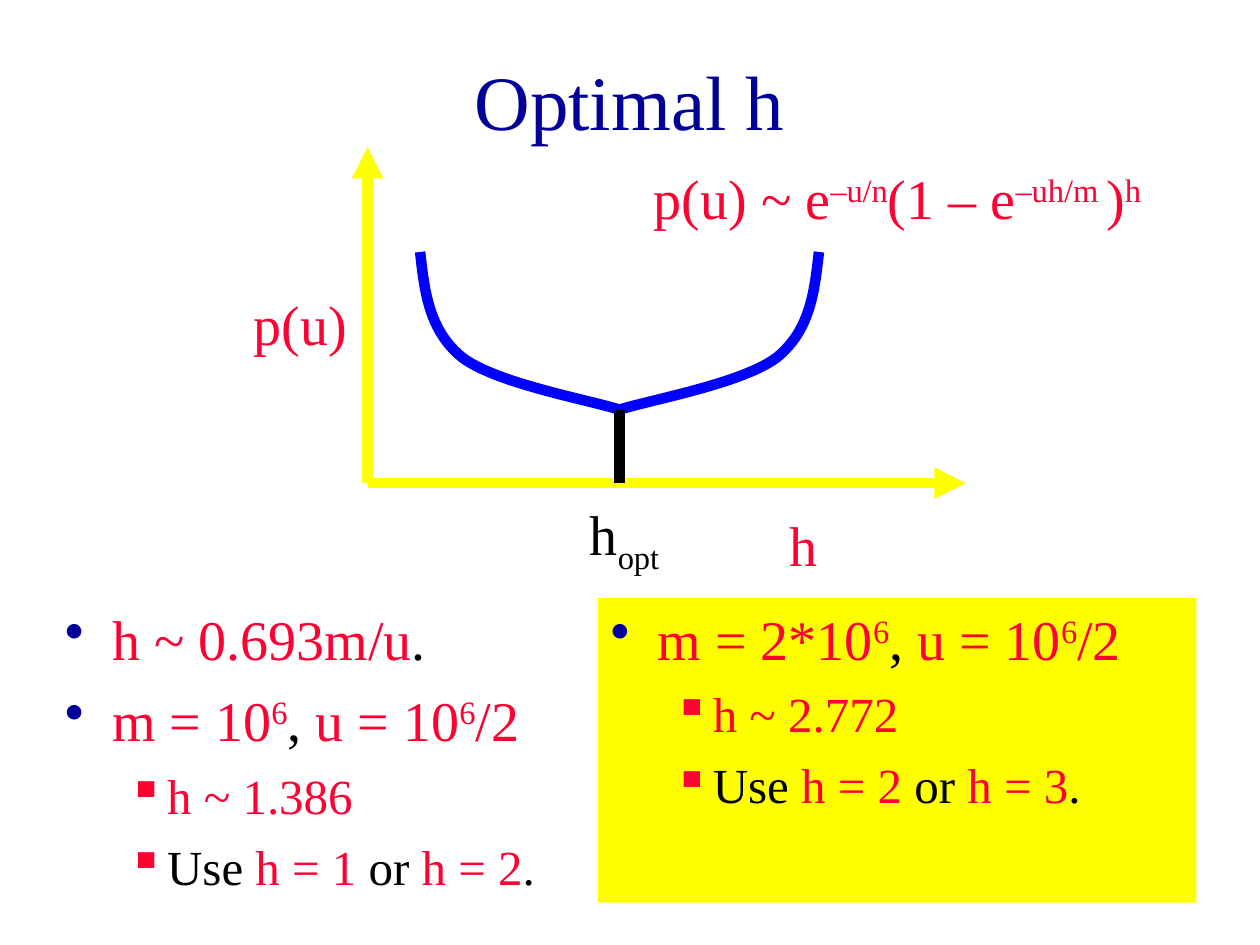
from lxml import etree
from pptx import Presentation
from pptx.dml.color import RGBColor
from pptx.enum.shapes import MSO_CONNECTOR, MSO_SHAPE
from pptx.enum.text import MSO_ANCHOR, MSO_AUTO_SIZE, PP_ALIGN
from pptx.oxml.ns import qn
from pptx.util import Cm, Pt

STRAIGHT, RECT = MSO_CONNECTOR.STRAIGHT, MSO_SHAPE.RECTANGLE
TOP, MIDDLE = MSO_ANCHOR.TOP, MSO_ANCHOR.MIDDLE
LEFT, CENTER = PP_ALIGN.LEFT, PP_ALIGN.CENTER
GROW = MSO_AUTO_SIZE.SHAPE_TO_FIT_TEXT

FONT = "Times New Roman"
COLORS = {"navy": "000099", "red": "FF0033", "black": "000000",
          "yellow": "FFFF00", "blue": "0000FF", "white": "FFFFFF"}
SUP, SUB = 30, -25

# Content: a run is (text, colour, baseline shift in percent)
TITLE = [("Optimal h", "navy", 0)]


def sizes(m):
    """Runs for 'm = ..., u = 10^6/2'."""
    return [(f"m = {m}", "red", 0), ("6", "red", SUP), (", ", "black", 0),
            ("u = 10", "red", 0), ("6", "red", SUP), ("/2", "red", 0)]


def choice(low, high):
    """Runs for 'Use h = low or h = high.'"""
    return [("Use", "black", 0), (f" h = {low} ", "red", 0), ("or", "black", 0),
            (f" h = {high}", "red", 0), (".", "black", 0)]


# Panels: box in cm, fill, paragraphs as (level, runs)
PANELS = [
    ((1.06, 12.06, 10.8, 6.98), "white", [
        (0, [("h ~ 0.693m/u", "red", 0), (".", "black", 0)]),
        (0, sizes("10")),
        (1, [("h ~ 1.386", "red", 0)]),
        (1, choice(1, 2))]),
    ((12.06, 12.06, 12.06, 6.14), "yellow", [
        (0, sizes("2*10")),
        (1, [("h ~ 2.772", "red", 0)]),
        (1, choice(2, 3))]),
]
# Level: size, space before, left margin (cm), hanging indent (cm), bullet, its colour
LEVELS = [(32, 8, 0.95, 0.95, "•", "navy"), (28, 7, 2.06, 0.79, "▪", "red")]

# Graph labels: box in cm, wrap, runs
LABELS = [
    ((15.66, 10.16, 2.12, 1.63), True, [("h", "red", 0)]),
    ((4.87, 5.71, 2.75, 1.63), True, [("p(u)", "red", 0)]),
    ((11.64, 9.95, 2.12, 1.8), True, [("h", "black", 0), ("opt", "black", SUB)]),
    ((12.93, 3.17, 10.34, 1.63), False, [
        ("p(u) ~ e", "red", 0), ("–u/n", "red", SUP), ("(1 – e", "red", 0),
        ("–uh/m ", "red", SUP), (")", "red", 0), ("h", "red", SUP)]),
]

# Graph geometry in cm
ORIGIN, AXIS_TOP, AXIS_RIGHT = (7.41, 9.74), 2.96, 19.47
OPTIMUM = (12.49, 8.26)
LEFT_BRANCH = [  # two cubic Bezier pieces
    [(8.47, 5.08), (8.56, 5.87), (8.64, 6.65), (9.31, 7.2)],
    [(9.31, 7.2), (9.99, 7.73), (11.91, 8.07), OPTIMUM],
]
STEPS = 24


def rgb(name):
    return RGBColor.from_string(COLORS[name])


def add_runs(p, runs, size):
    for text, color, shift in runs:
        r = p.add_run()
        r.text = text
        r.font.size, r.font.name = Pt(size), FONT
        r.font.color.rgb = rgb(color)
        if shift:
            r.font._element.set("baseline", str(shift * 1000))


def add_label(s, box, runs, size, wrap=True, anchor=TOP, align=LEFT, before=0):
    tf = s.shapes.add_textbox(*map(Cm, box)).text_frame
    tf.word_wrap, tf.vertical_anchor = wrap, anchor
    if anchor == TOP:
        tf.auto_size = GROW
    p = tf.paragraphs[0]
    p.alignment, p.space_before = align, Pt(before)
    add_runs(p, runs, size)


def add_bullet(p, level, runs):
    size, before, margin, hang, char, color = LEVELS[level]
    p.level, p.alignment, p.space_before = level, LEFT, Pt(before)
    pPr = p._p.get_or_add_pPr()
    pPr.set("marL", str(Cm(margin)))
    pPr.set("indent", str(-Cm(hang)))
    clr = etree.SubElement(pPr, qn("a:buClr"))
    etree.SubElement(clr, qn("a:srgbClr"), val=COLORS[color])
    etree.SubElement(pPr, qn("a:buChar"), char=char)
    add_runs(p, runs, size)


def add_panel(s, box, fill, paragraphs):
    sp = s.shapes.add_shape(RECT, *map(Cm, box))
    sp.shadow.inherit = False
    sp.fill.solid()
    sp.fill.fore_color.rgb = rgb(fill)
    sp.line.fill.background()
    tf = sp.text_frame
    tf.word_wrap, tf.vertical_anchor = True, TOP
    for i, (level, runs) in enumerate(paragraphs):
        add_bullet(tf.add_paragraph() if i else tf.paragraphs[0], level, runs)


def add_line(s, start, end, color, arrow=False):
    ln = s.shapes.add_connector(STRAIGHT, *map(Cm, start + end))
    ln.line.color.rgb, ln.line.width = rgb(color), Pt(6)
    if arrow:
        etree.SubElement(ln.line._get_or_add_ln(), qn("a:tailEnd"), type="triangle")
    etree.SubElement(ln._element.spPr, qn("a:effectLst"))


def bezier(piece, t):
    weights = ((1 - t) ** 3, 3 * t * (1 - t) ** 2, 3 * t * t * (1 - t), t ** 3)
    return tuple(sum(w * pt[k] for w, pt in zip(weights, piece)) for k in (0, 1))


def add_curve(s, points):
    pts = [(Cm(x), Cm(y)) for x, y in points]
    fb = s.shapes.build_freeform(*pts[0], scale=1.0)
    fb.add_line_segments(pts[1:], close=False)
    sp = fb.convert_to_shape()
    sp.shadow.inherit = False
    sp.fill.background()
    sp.line.color.rgb, sp.line.width = rgb("blue"), Pt(6)


prs = Presentation()
prs.slide_width, prs.slide_height = Cm(25.4), Cm(19.05)
s = prs.slides.add_slide(prs.slide_layouts[6])

# Title and bullet panels
add_label(s, (1.9, 0.43, 21.59, 3.18), TITLE, 44, anchor=MIDDLE, align=CENTER)
for panel in PANELS:
    add_panel(s, *panel)

# Axes
add_line(s, ORIGIN, (ORIGIN[0], AXIS_TOP), "yellow", arrow=True)
add_line(s, ORIGIN, (AXIS_RIGHT, ORIGIN[1]), "yellow", arrow=True)

# Curve: the right branch mirrors the left one about the optimum
branch = [LEFT_BRANCH[0][0]] + [bezier(piece, i / STEPS) for piece in LEFT_BRANCH
                                for i in range(1, STEPS + 1)]
add_curve(s, branch)
add_curve(s, [(2 * OPTIMUM[0] - x, y) for x, y in branch])
add_line(s, OPTIMUM, (OPTIMUM[0], ORIGIN[1]), "black")

# Graph labels
for box, wrap, runs in LABELS:
    add_label(s, box, runs, 32, wrap=wrap, before=20)

prs.save("out.pptx")
